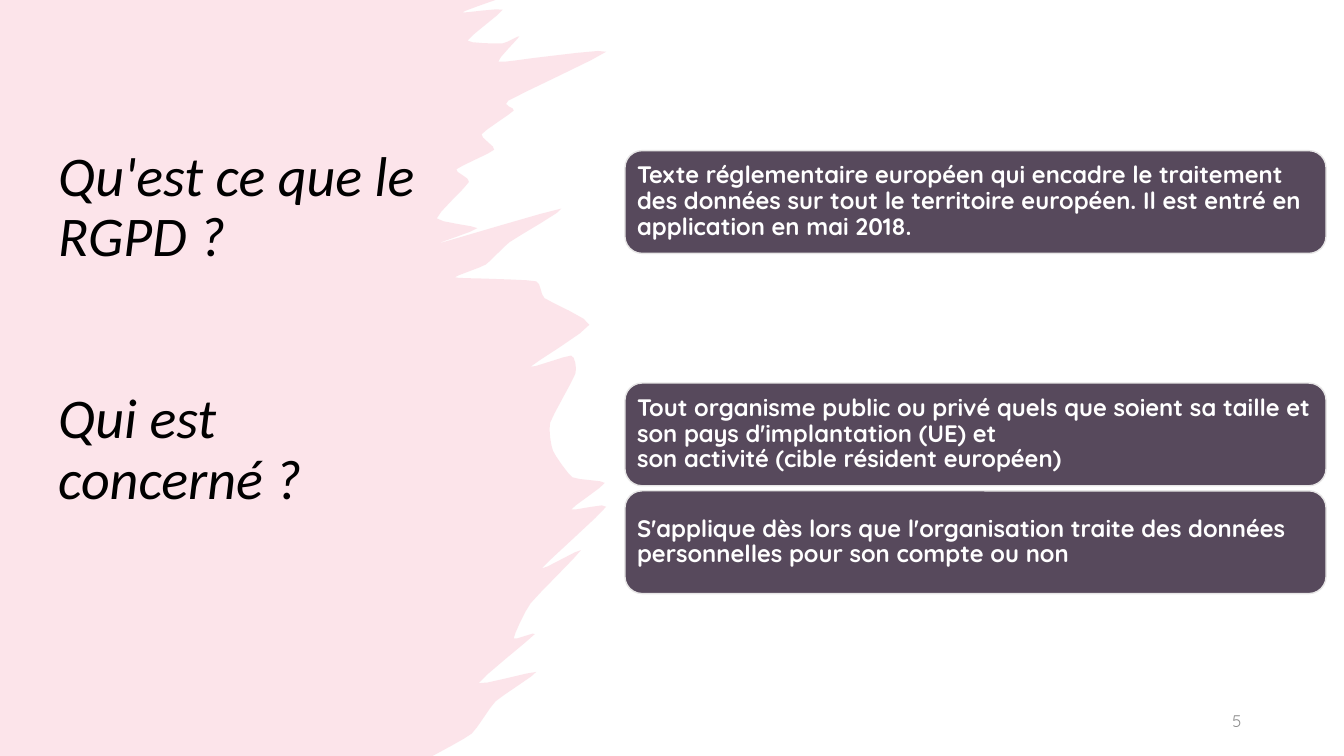
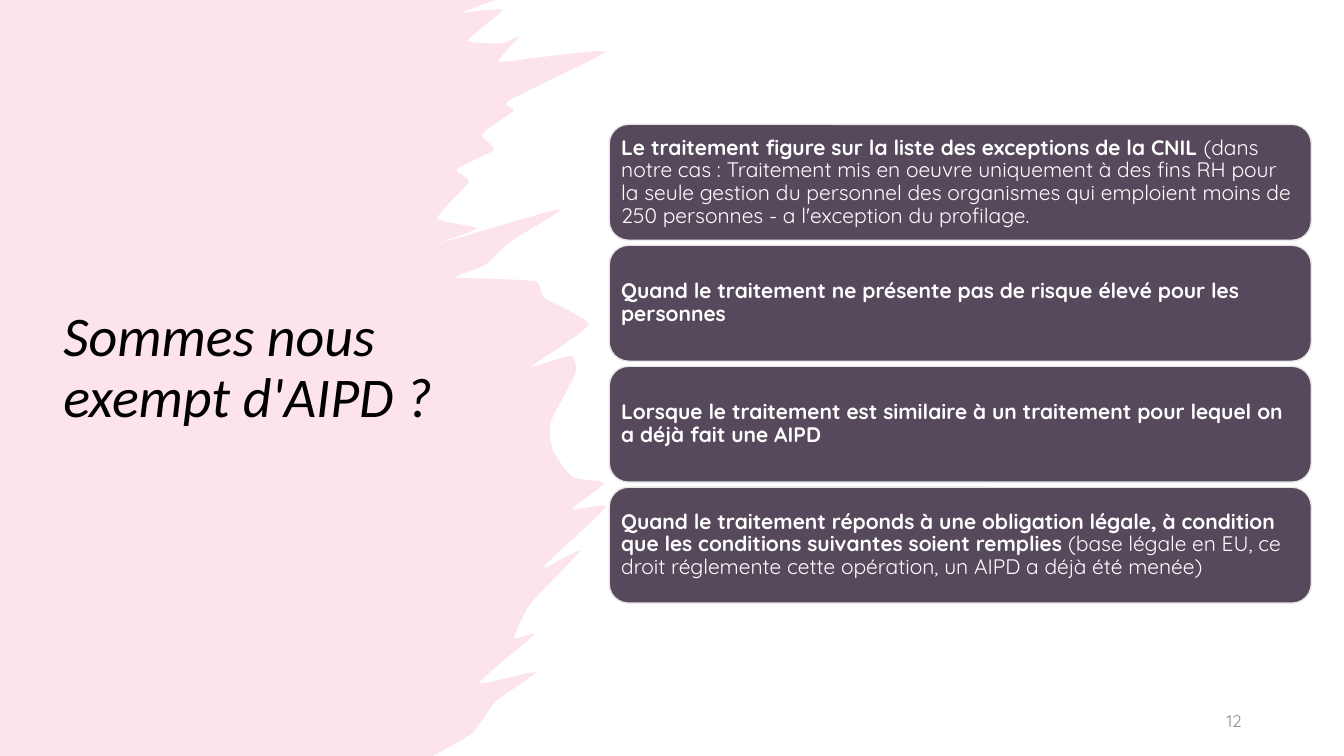
from typing import NamedTuple

import pptx
import pptx.dml.color
import pptx.enum.shapes
import pptx.enum.text
import pptx.oxml
import pptx.oxml.ns
import pptx.util
from pptx.util import Pt

COLORS = {
    "background": "FFFFFF",
    "brush": "F07C98",
    "card": "57495C",
    "card_line": "E7E6E6",
    "card_text": "FFFFFF",
    "title": "000000",
    "page_number": "8C8C8C",
}
TITLE_FONT = "Calibri"
BODY_FONT = "Quicksand"
SLIDE_WIDTH, SLIDE_HEIGHT = 960, 540
CARD_GAP = 3.6
LINE_SPACING = 0.9
BRUSH_OPACITY = 20
CURVE_STEPS = 4
CURVE_TENSION = 0.25

# Right edge of the brush in points, top to bottom.
BRUSH_EDGE = [
    (354, 0), (330, 9), (359, 7), (334, 29), (359, 31), (371, 26), (356, 44),
    (385, 41), (433, 37), (363, 72), (367, 79), (344, 96), (353, 107), (326, 121),
    (335, 130), (312, 156), (341, 163), (313, 174), (401, 149), (364, 173),
    (347, 189), (325, 198), (345, 199), (383, 201), (389, 213), (421, 232),
    (379, 262), (408, 254), (411, 267), (393, 302), (395, 322), (409, 341),
    (432, 345), (408, 364), (433, 362), (387, 406), (415, 393), (379, 431),
    (367, 456), (382, 453), (342, 488), (383, 480), (354, 501), (337, 524), (309, 540),
]


class Box(NamedTuple):
    left: float
    top: float
    width: float
    height: float


class TextRun(NamedTuple):
    text: str
    bold: bool = False


class TextStyle(NamedTuple):
    font: str
    size: float
    color: str
    italic: bool = False


class CardStack(NamedTuple):
    """Equal cards, one under the other; each card is a list of runs."""
    first: Box
    text_size: float
    cards: list[list[TextRun]]


class Page(NamedTuple):
    number: str
    title_box: Box
    titles: list[str]
    stacks: list[CardStack]


PAGES = [
    Page(
        "5",
        Box(34.5, 21.6, 277.2, 427.7),
        ["Qu'est ce que le RGPD ?", "Qui est concerné ?"],
        [
            CardStack(Box(446.4, 107.6, 500.8, 73.4), 17, [
                [TextRun("Texte réglementaire européen qui encadre le traitement des données sur "
                         "tout le territoire européen. Il est entré en application en mai 2018.", True)],
            ]),
            CardStack(Box(446.4, 273.6, 500.8, 73.4), 17, [
                [TextRun("Tout organisme public ou privé quels que soient sa taille et son pays "
                         "d'implantation (UE) et\nson activité (cible résident européen)", True)],
                [TextRun("S'applique dès lors que l'organisation traite des données personnelles "
                         "pour son compte ou non", True)],
            ]),
        ],
    ),
    Page(
        "12",
        Box(38.2, 49.7, 295.9, 427.7),
        ["Sommes nous exempt d'AIPD ?"],
        [
            CardStack(Box(435.2, 88.8, 501.5, 82.8), 15, [
                [TextRun("Le traitement figure sur la liste des exceptions de la CNIL ", True),
                 TextRun("(dans notre cas : Traitement mis en oeuvre uniquement à des fins RH pour "
                         "la seule gestion du personnel des organismes qui emploient moins de "
                         "250 personnes - a l'exception du profilage.")],
                [TextRun("Quand le traitement ne présente pas de risque élevé pour les personnes", True)],
                [TextRun("Lorsque le traitement est similaire à un traitement pour lequel on a déjà "
                         "fait une AIPD", True)],
                [TextRun("Quand le traitement réponds à une obligation légale, à condition que les "
                         "conditions suivantes soient remplies ", True),
                 TextRun("(base légale en EU, ce droit réglemente cette opération, un AIPD a déjà "
                         "été menée)")],
            ]),
        ],
    ),
]


def rgb(name: str) -> pptx.dml.color.RGBColor:
    return pptx.dml.color.RGBColor.from_string(COLORS[name])


def place(box: Box) -> list[pptx.util.Length]:
    return [Pt(length) for length in box]


def prepare_frame(shape):
    frame = shape.text_frame
    frame.word_wrap = True
    frame.vertical_anchor = pptx.enum.text.MSO_ANCHOR.MIDDLE
    return frame


def add_runs(paragraph, runs: list[TextRun], style: TextStyle) -> None:
    """Add the runs in one style; a newline in a run becomes a line break."""
    for text_run in runs:
        for index, line in enumerate(text_run.text.split("\n")):
            if index:
                paragraph.add_line_break()
            run = paragraph.add_run()
            run.text = line
            run.font.name = style.font
            run.font.size = Pt(style.size)
            run.font.bold = text_run.bold
            run.font.italic = style.italic
            run.font.color.rgb = rgb(style.color)


def hermite(before: float, start: float, end: float, after: float, t: float) -> float:
    """Interpolate from start to end, with slopes taken from the neighbours."""
    slope_in = CURVE_TENSION * (end - before)
    slope_out = CURVE_TENSION * (after - start)
    blend = t * t * (3 - 2 * t)
    return (start + blend * (end - start)
            + t * (1 - t) ** 2 * slope_in - t * t * (1 - t) * slope_out)


def brush_outline() -> list[tuple[float, float]]:
    """Round the brush edge between its corner points."""
    padded = [BRUSH_EDGE[0], *BRUSH_EDGE, BRUSH_EDGE[-1]]
    points = [BRUSH_EDGE[0]]
    for neighbours in zip(padded, padded[1:], padded[2:], padded[3:]):
        for step in range(1, CURVE_STEPS + 1):
            x, y = (hermite(*axis, step / CURVE_STEPS) for axis in zip(*neighbours))
            points.append((x, min(max(y, 0), SLIDE_HEIGHT)))
    return points


def add_brush(slide) -> None:
    points = [(Pt(x), Pt(y)) for x, y in brush_outline()]
    builder = slide.shapes.build_freeform(0, 0)
    builder.add_line_segments(points + [(0, Pt(SLIDE_HEIGHT))], close=True)
    shape = builder.convert_to_shape()
    shape.shadow.inherit = False
    shape.line.fill.background()
    shape.fill.solid()
    shape.fill.fore_color.rgb = rgb("brush")
    color = shape.element.spPr.find(".//" + pptx.oxml.ns.qn("a:srgbClr"))
    alpha = pptx.oxml.parse_xml(
        f'<a:alpha {pptx.oxml.ns.nsdecls("a")} val="{BRUSH_OPACITY * 1000}"/>')
    color.append(alpha)


def add_title(slide, box: Box, titles: list[str]) -> None:
    style = TextStyle(TITLE_FONT, 40, "title", italic=True)
    frame = prepare_frame(slide.shapes.add_textbox(*place(box)))
    for index, title in enumerate(titles):
        paragraph = frame.add_paragraph() if index else frame.paragraphs[0]
        paragraph.line_spacing = LINE_SPACING
        if index:
            paragraph.space_before = Pt(87)
        add_runs(paragraph, [TextRun(title)], style)


def add_page_number(slide, number: str) -> None:
    frame = prepare_frame(slide.shapes.add_textbox(*place(Box(678, 500.5, 216, 28.8))))
    paragraph = frame.paragraphs[0]
    paragraph.alignment = pptx.enum.text.PP_ALIGN.RIGHT
    add_runs(paragraph, [TextRun(number)], TextStyle(BODY_FONT, 12, "page_number"))


def add_card(slide, box: Box, runs: list[TextRun], text_size: float) -> None:
    shape = slide.shapes.add_shape(
        pptx.enum.shapes.MSO_SHAPE.ROUNDED_RECTANGLE, *place(box))
    shape.shadow.inherit = False
    shape.fill.solid()
    shape.fill.fore_color.rgb = rgb("card")
    shape.line.color.rgb = rgb("card_line")
    shape.line.width = Pt(1)
    frame = prepare_frame(shape)
    inset = Pt(0.3 * text_size)
    frame.margin_left = frame.margin_right = inset
    frame.margin_top = frame.margin_bottom = inset
    paragraph = frame.paragraphs[0]
    paragraph.alignment = pptx.enum.text.PP_ALIGN.LEFT
    paragraph.line_spacing = LINE_SPACING
    add_runs(paragraph, runs, TextStyle(BODY_FONT, text_size, "card_text"))


def add_stack(slide, stack: CardStack) -> None:
    pitch = stack.first.height + CARD_GAP
    for index, runs in enumerate(stack.cards):
        box = stack.first._replace(top=stack.first.top + index * pitch)
        add_card(slide, box, runs, stack.text_size)


def add_page(presentation, page: Page) -> None:
    slide = presentation.slides.add_slide(presentation.slide_layouts[6])
    slide.background.fill.solid()
    slide.background.fill.fore_color.rgb = rgb("background")
    add_brush(slide)
    add_title(slide, page.title_box, page.titles)
    add_page_number(slide, page.number)
    for stack in page.stacks:
        add_stack(slide, stack)


def main() -> None:
    presentation = pptx.Presentation()
    presentation.slide_width = Pt(SLIDE_WIDTH)
    presentation.slide_height = Pt(SLIDE_HEIGHT)
    for page in PAGES:
        add_page(presentation, page)
    presentation.save("out.pptx")


if __name__ == "__main__":
    main()
